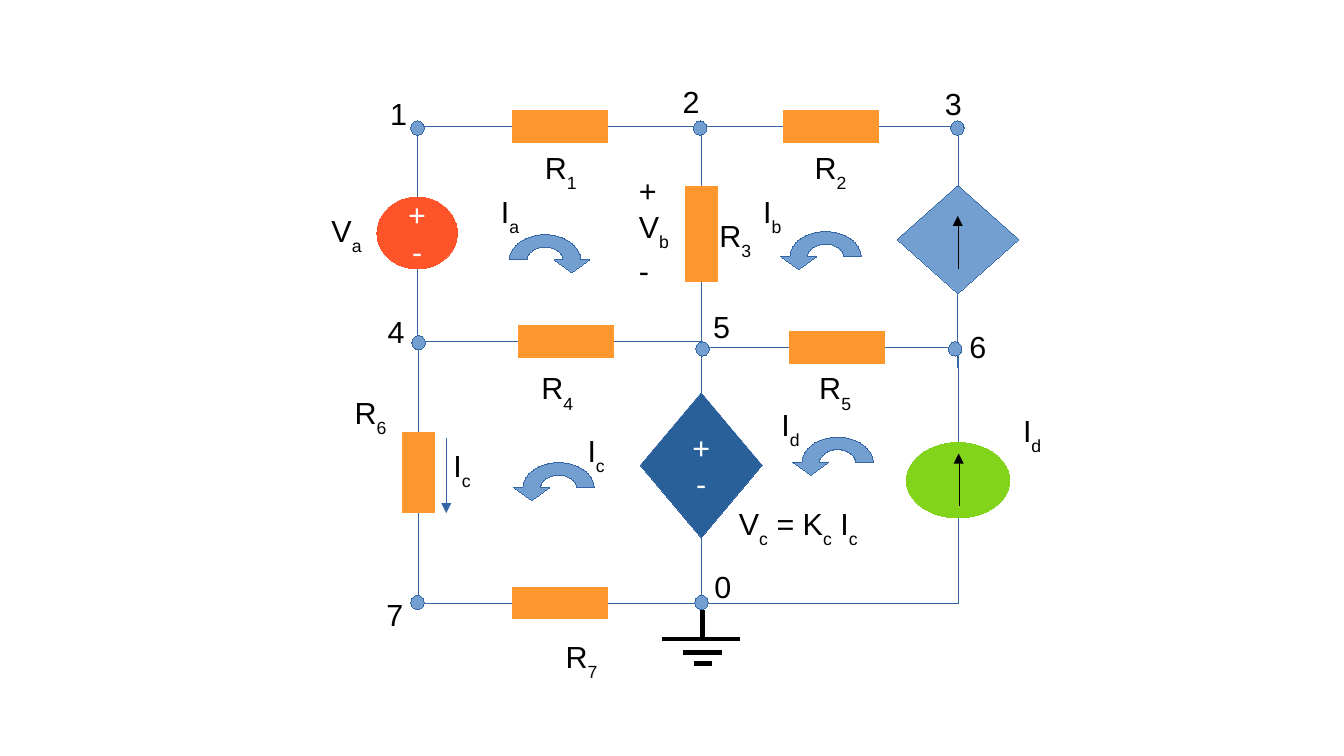
import pptx
import pptx.dml.color
import pptx.enum.shapes
import pptx.enum.text
import pptx.oxml.ns
import pptx.util
from lxml import etree

Pt = pptx.util.Pt
RGBColor = pptx.dml.color.RGBColor
PRESET = pptx.enum.shapes.MSO_SHAPE
CONNECTOR = pptx.enum.shapes.MSO_CONNECTOR
ALIGN = pptx.enum.text.PP_ALIGN
qn = pptx.oxml.ns.qn

ORANGE = RGBColor(0xFF, 0x97, 0x2F)
RED = RGBColor(0xFF, 0x54, 0x29)
GREEN = RGBColor(0x81, 0xD4, 0x1A)
SKY = RGBColor(0x72, 0x9F, 0xCF)
NAVY = RGBColor(0x2A, 0x60, 0x99)
WIRE = RGBColor(0x34, 0x65, 0xA4)
BLACK = RGBColor(0, 0, 0)
WHITE = RGBColor(0xFF, 0xFF, 0xFF)

# Circuit columns and rows, in points
LEFT, MIDDLE, RIGHT = 246.4, 414, 565.8
TOP, UPPER, LOWER, BOTTOM = 74.9, 201.6, 205.2, 356.2

TURNS = {  # rotation, attributes that flip
    "right down": (0, ()),
    "right up": (0, ("flipV",)),
    "left down": (180, ("flipV",)),
    "down right": (270, ("flipH",)),
    "down left": (90, ()),
}
WIRES = [  # x1, y1, x2, y2, turn, number of bends, bend adjustment
    (302.4, TOP, LEFT, 116.6, "left down", 1, None),
    (LEFT, 158.4, 306, UPPER, "down right", 1, None),
    (RIGHT, 306, MIDDLE, 317.5, "down left", 2, 435700),
    (362.2, UPPER, 465.8, LOWER, "right down", 2, None),
    (MIDDLE, 166.3, 465.8, LOWER, "down right", 1, None),
    (463, TOP, MIDDLE, 110.2, "left down", 1, None),
    (362.2, UPPER, MIDDLE, 231.8, "right down", 1, None),
    (358.6, TOP, MIDDLE, 110.2, "right down", 1, None),
    (522, LOWER, RIGHT, 261.4, "right down", 1, None),
    (518.6, TOP, RIGHT, 109.4, "right down", 1, None),
    (565.3, 173, RIGHT, 261.4, "down right", 2, None),
    (358.6, BOTTOM, MIDDLE, 317.5, "right up", 1, None),
    (306, UPPER, 247, 254.9, "left down", 1, None),
    (247, 303, 302.4, BOTTOM, "down right", 1, None),
]
GROUND = [
    (437, 377.3, 391, 377.3),
    (403.2, 385.2, 426.2, 385.2),
    (409.6, 391.7, 420.4, 391.7),
    (414.7, 376.6, 414.7, 360),
]
CURRENT_ARROWS = [  # line, colour
    ((565.4, 159, 565.4, 127.5), BLACK),
    ((566, 298.8, 566, 267.8), BLACK),
    ((263.5, 258.5, 263.5, 303), WIRE),
]
RESISTORS = [  # centre x, centre y, length, rotation
    (330.4, TOP, 56.2, 0),
    (490.8, TOP, 56.2, 0),
    (334, UPPER, 56.2, 0),
    (494, LOWER, 56.2, 0),
    (330.4, BOTTOM, 56.2, 0),
    (MIDDLE, 138.2, 56.2, 270),
    (247, 279, 47.5, 270),
]
RESISTOR_THICKNESS = 18.7
SOURCES = [  # preset, centre x, centre y, width, height, fill, outline, text
    (PRESET.OVAL, 246.3, 137.6, 47.5, 42.5, RED, RED, "+\n-"),
    (PRESET.OVAL, 565.6, 283.6, 61.2, 44.6, GREEN, GREEN, ""),
    (PRESET.DIAMOND, 565.6, 141.4, 72, 64, SKY, WIRE, ""),
    (PRESET.DIAMOND, MIDDLE, 274.7, 72, 85.7, NAVY, WIRE, "+\n-"),
]
NODES = [  # centre x, centre y
    (246.5, 75.6), (413.4, 75.6), (565.3, 75.6),
    (247.2, 202.4), (414.8, 206), (563.9, 206),
    (246.5, 355.7), (414.2, 355.7),
]
NODE_SIZE = (8, 8.5)
LABELS = [  # left, top, text; "_" puts the next letter below the line
    (223.2, 52.6, "1"), (396, 45.4, "2"), (550.8, 46.8, "3"),
    (221.8, 181.4, "4"), (414, 178.6, "5"), (565.2, 190.1, "6"),
    (221, 348.5, "7"), (414.7, 331.9, "0"),
    (314.6, 84.2, "R_1"), (473.8, 84.2, "R_2"), (417.6, 124.6, "R_3"),
    (312.5, 214.6, "R_4"), (476.6, 214.6, "R_5"), (202.3, 229, "R_6"),
    (326.9, 373, "R_7"),
    (188.6, 121.7, "V_a"), (370.1, 97.9, "+\nV_b\n-"),
    (429.1, 294.5, "V_c = K_c I_c"),
    (288.7, 110.2, "I_a"), (443.5, 110.2, "I_b"), (339.8, 251.3, "I_c"),
    (454.3, 236.2, "I_d"), (596.9, 239.8, "I_d"), (260.6, 260.6, "I_c"),
]
LOOPS = [  # centre x, base y, direction: 1 clockwise, -1 counterclockwise
    (321.8, 153.4, 1), (487.4, 151.6, -1), (494.5, 273, -1), (329.8, 288, -1),
]
LOOP_OUTLINE = [(10.6, 0), (0, -7.4), (-10.6, 0), (-21.1, 0), (0, -14.8),
                (21.1, 0), (26.4, 0), (15.8, 7.6), (5.3, 0)]
LOOP_CURVES = (1, 2, 4, 5)  # outline points that a quarter ellipse leads to
ROUNDNESS = 0.55


def set_outline(line, color, width):
    line.color.rgb = color
    line._get_or_add_ln().set("w", str(Pt(width)))


def paint(shape, fill, outline):
    shape.shadow.inherit = False
    shape.fill.solid()
    shape.fill.fore_color.rgb = fill
    set_outline(shape.line, outline, 0)


def add_line(ends, color, width=0, arrow=False, kind=CONNECTOR.STRAIGHT):
    line = slide.shapes.add_connector(kind, *map(Pt, ends))
    set_outline(line.line, color, width)
    if arrow:
        etree.SubElement(line.line._get_or_add_ln(), qn("a:tailEnd"),
                         type="triangle")
    etree.SubElement(line._element.spPr, qn("a:effectLst"))
    return line


def add_wire(x1, y1, x2, y2, turn, bends, adjustment):
    """Add an elbow; a quarter turn swaps the sides of its unrotated box."""
    rotation, flips = TURNS[turn]
    width, height = abs(x2 - x1), abs(y2 - y1)
    if rotation in (90, 270):
        width, height = height, width
    left, top = (x1 + x2 - width) / 2, (y1 + y2 - height) / 2
    wire = add_line((left, top, left + width, top + height), WIRE,
                    kind=CONNECTOR.ELBOW)
    frame = wire._element.spPr.find(qn("a:xfrm"))
    if rotation:
        frame.set("rot", str(rotation * 60000))
    for flip in flips:
        frame.set(flip, "1")
    geometry = wire._element.spPr.find(qn("a:prstGeom"))
    geometry.set("prst", f"bentConnector{bends + 1}")
    if adjustment:
        etree.SubElement(geometry.find(qn("a:avLst")), qn("a:gd"),
                         name="adj1", fmla=f"val {adjustment}")


def add_part(preset, x, y, width, height, fill, outline):
    """Add a preset shape centred on x, y."""
    part = slide.shapes.add_shape(
        preset, Pt(x - width / 2), Pt(y - height / 2), Pt(width), Pt(height))
    paint(part, fill, outline)
    return part


def write(frame, text, color, align):
    """Write lines of text, lowering each letter that follows "_"."""
    for number, line in enumerate(text.split("\n")):
        paragraph = frame.add_paragraph() if number else frame.paragraphs[0]
        paragraph.alignment = align
        first, *rest = line.split("_")
        pieces = [(first, False)]
        for piece in rest:
            pieces += [(piece[0], True), (piece[1:], False)]
        for words, lowered in pieces:
            if not words:
                continue
            run = paragraph.add_run()
            run.text = words
            run.font.name = "Arial"
            run.font.size = Pt(18)
            run.font.color.rgb = color
            if lowered:
                run._r.get_or_add_rPr().set("baseline", "-33000")


def add_loop(x, y, direction):
    """Add a half-ring arrow, bending its ring sides into quarter ellipses."""
    points = [(round(100 * (x + direction * dx)), round(100 * (y + dy)))
              for dx, dy in LOOP_OUTLINE]
    builder = slide.shapes.build_freeform(*points[0], scale=Pt(1) / 100)
    builder.add_line_segments(points[1:], close=True)
    loop = builder.convert_to_shape()
    paint(loop, SKY, WIRE)
    steps = list(next(loop._element.iter(qn("a:path"))))
    ends = [(int(p.get("x")), int(p.get("y")))
            for step in steps for p in step.iter(qn("a:pt"))]
    for index in LOOP_CURVES:
        start, end = ends[index - 1], ends[index]
        apex, base = sorted((start, end), key=lambda point: point[1])
        corner = (base[0], apex[1])
        controls = [[round(a + ROUNDNESS * (c - a)) for a, c in zip(p, corner)]
                    for p in (start, end)]
        curve = etree.Element(qn("a:cubicBezTo"))
        for px, py in (*controls, end):
            etree.SubElement(curve, qn("a:pt"), x=str(px), y=str(py))
        steps[index].getparent().replace(steps[index], curve)


deck = pptx.Presentation()
deck.slide_width, deck.slide_height = Pt(793.44), Pt(446.4)
slide = deck.slides.add_slide(deck.slide_layouts[6])

for wire in WIRES:
    add_wire(*wire)
for x, y, length, rotation in RESISTORS:
    resistor = add_part(PRESET.RECTANGLE, x, y, length, RESISTOR_THICKNESS,
                        ORANGE, ORANGE)
    resistor.rotation = rotation
for *source, polarity in SOURCES:
    symbol = add_part(*source)
    if polarity:
        symbol.text_frame.vertical_anchor = pptx.enum.text.MSO_ANCHOR.MIDDLE
        write(symbol.text_frame, polarity, WHITE, ALIGN.CENTER)
for ends, color in CURRENT_ARROWS:
    add_line(ends, color, arrow=True)
for node in NODES:
    add_part(PRESET.OVAL, *node, *NODE_SIZE, SKY, WIRE)
for bar in GROUND:
    add_line(bar, BLACK, width=2.83)
for loop in LOOPS:
    add_loop(*loop)
for left, top, text in LABELS:
    width = 106 if "=" in text else 38.5
    height = 37.4 + 23.8 * text.count("\n")
    label = slide.shapes.add_textbox(Pt(left), Pt(top), Pt(width), Pt(height))
    label.text_frame.word_wrap = True
    write(label.text_frame, text, BLACK, ALIGN.LEFT)

deck.save("out.pptx")
